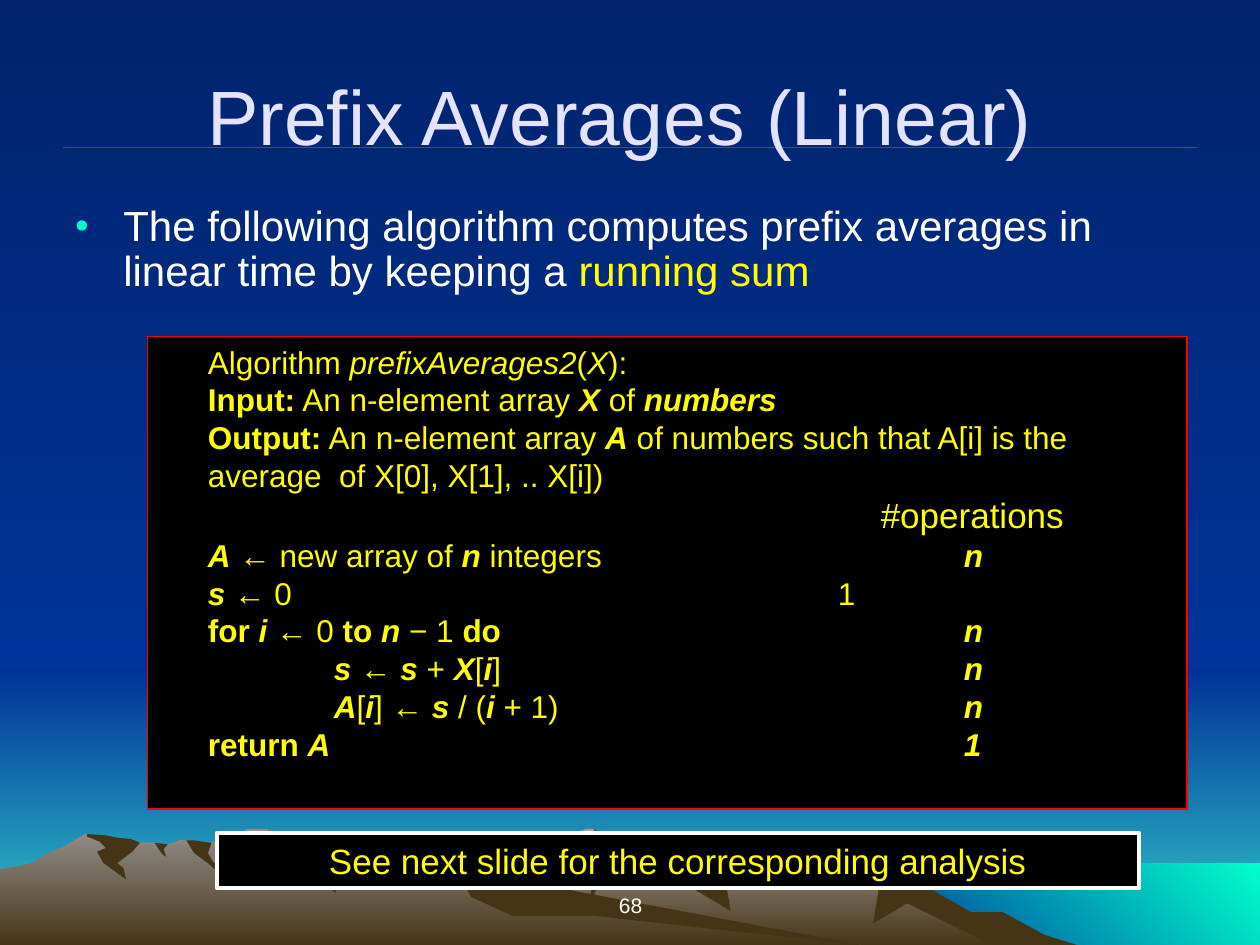
from lxml import etree
from pptx import Presentation
from pptx.dml.color import RGBColor
from pptx.enum.shapes import MSO_CONNECTOR, MSO_SHAPE
from pptx.enum.text import MSO_ANCHOR, PP_ALIGN
from pptx.oxml.ns import qn
from pptx.util import Inches, Pt

RECT = MSO_SHAPE.RECTANGLE
STRAIGHT = MSO_CONNECTOR.STRAIGHT
TOP, BOTTOM = MSO_ANCHOR.TOP, MSO_ANCHOR.BOTTOM
LEFT, CENTER = PP_ALIGN.LEFT, PP_ALIGN.CENTER

COLORS = {
    "navy": "00246D", "blue": "003399", "teal": "33CCCC", "aqua": "00FFCC",
    "stone": "A5A29F", "rock": "938F8B", "earth": "463416", "crimson": "EF0129",
    "lavender": "E3E3FF", "white": "FFFFFF", "yellow": "FFFF00",
    "red": "FF0000", "black": "000000",
}
DOWN, UP_RIGHT = 270, 45
SLIDE_W, SLIDE_H = 10, 7.5
HORIZON = 5.33
RULE_Y, RULE_MARGIN = 1.17, 0.5
HANG = 0.38
PANEL_INSET = 0.1 + HANG
NEST_STOP, HEADING_STOP, CONSTANT_STOP, COUNT_STOP = 1, 5.34, 5, 6

HUNDREDTH = Inches(0.01)
RIGHT_RIDGE = [
    (802, 740), (778, 727), (764, 723), (723, 698), (702, 671), (685, 660),
    (676, 666), (656, 671), (629, 671), (613, 681), (566, 697), (536, 690),
    (529, 676), (526, 673), (509, 669), (497, 671), (486, 673), (474, 661),
    (471, 658), (465, 658), (450, 664), (448, 665), (444, 668), (438, 671),
    (430, 671), (424, 672), (418, 675), (412, 677), (405, 681), (399, 683),
    (394, 685), (355, 698), (327, 709), (277, 739), (258, 751), (821, 751)]
LEFT_RIDGE = [
    (690, 751), (667, 748), (432, 712), (354, 665), (331, 663), (327, 668),
    (323, 668), (318, 664), (296, 676), (279, 681), (271, 682), (260, 676),
    (236, 681), (223, 663), (219, 660), (212, 658), (196, 658), (191, 662),
    (183, 664), (178, 666), (168, 669), (160, 671), (148, 667), (143, 667),
    (132, 671), (128, 671), (123, 669), (111, 669), (94, 671), (68, 662),
    (56, 669), (53, 671), (46, 674), (35, 679), (26, 685), (14, 688),
    (0, 690), (0, 751)]
RIGHT_SHADES = [
    [(796, 724), (771, 724), (734, 703), (707, 671), (685, 660), (689, 664),
     (685, 671), (691, 680), (698, 702), (693, 733), (720, 717), (792, 752),
     (858, 751), (829, 742)],
    [(471, 658), (474, 662), (469, 664), (468, 671), (472, 680), (473, 690),
     (465, 727), (474, 704), (479, 700), (487, 683), (490, 682), (490, 676),
     (497, 671), (493, 670)],
    [(529, 676), (526, 683), (536, 697), (580, 723), (576, 700), (592, 689),
     (570, 692), (542, 685)],
]
LEFT_SHADES = [
    [(212, 663), (208, 669), (219, 678), (232, 690), (241, 688), (267, 709),
     (261, 689), (271, 682), (266, 679), (260, 674), (252, 671), (238, 665),
     (230, 662), (224, 662), (213, 659)],
    [(370, 668), (354, 665), (344, 665), (339, 669), (337, 687), (348, 683),
     (353, 688), (363, 691), (374, 712), (407, 727), (472, 727), (690, 751),
     (683, 750), (455, 707), (427, 692), (411, 684), (401, 681), (386, 675)],
    [(154, 667), (168, 669), (165, 677), (169, 684), (173, 687), (176, 695),
     (165, 685), (154, 677), (148, 667)],
    [(133, 670), (130, 674), (132, 680), (129, 678), (126, 674), (123, 669)],
    [(109, 668), (111, 669), (105, 676), (93, 685), (98, 689), (100, 698),
     (82, 685), (77, 676), (84, 673), (79, 668), (69, 664), (69, 662),
     (84, 663), (94, 665), (104, 666)],
]
MOUNTAINS = [(RIGHT_RIDGE, "stone", RIGHT_SHADES), (LEFT_RIDGE, "rock", LEFT_SHADES)]

BOLD_MARK, ITALIC_MARK = "*", "_"
DECLARATION = [
    "Algorithm _prefixAverages2_(_X_):",
    "*Input:* An n-element array *_X_* of *_numbers_*",
    "*Output:* An n-element array *_A_* of numbers such that A[i] is the "
    "average  of X[0], X[1], .. X[i])",
]
COUNT_HEADING = "#operations"
STEPS = [
    (0, "*_A_* ← new array of *_n_* integers", "*_n_*", COUNT_STOP),
    (0, "*_s_* ← 0", "1", CONSTANT_STOP),
    (0, "*for _i_* ← 0 *to _n_* − 1 *do*", "*_n_*", COUNT_STOP),
    (1, "*_s_* ← *_s_* + *_X_*[*_i_*]", "*_n_*", COUNT_STOP),
    (1, "*_A_*[*_i_*] ← *_s_* / (*_i_* + 1)", "*_n_*", COUNT_STOP),
    (0, "*return _A_*", "*_1_*", COUNT_STOP),
]


def rgb(name):
    return RGBColor.from_string(COLORS[name])


def algorithm_lines():
    for text in DECLARATION:
        yield text, 18, []
    yield "\t" + COUNT_HEADING, 20, [HEADING_STOP]
    for depth, statement, count, count_stop in STEPS:
        yield "\t" * depth + statement + "\t" + count, 18, [NEST_STOP] * depth + [count_stop]


class SlideBuilder:
    font = "Arial"

    def __init__(self, slide):
        self.s = slide

    def paint(self, fill, color, angle=DOWN):
        if isinstance(color, str):
            fill.solid()
            fill.fore_color.rgb = rgb(color)
            return
        fill.gradient()
        fill.gradient_angle = angle
        for stop, name, position in zip(fill.gradient_stops, color, (0, 1)):
            stop.color.rgb = rgb(name)
            stop.position = position

    def finish(self, sp, color, line=None, angle=DOWN):
        sp.shadow.inherit = False
        self.paint(sp.fill, color, angle)
        if line:
            self.stroke(sp, *line)
        else:
            sp.line.fill.background()
        return sp

    def stroke(self, sp, color, width):
        sp.line.color.rgb = rgb(color)
        sp.line.width = Pt(width)

    def rect(self, box, color, line=None, angle=DOWN):
        sp = self.s.shapes.add_shape(RECT, *map(Inches, box))
        return self.finish(sp, color, line, angle)

    def outline(self, points, color):
        builder = self.s.shapes.build_freeform(*points[0], scale=HUNDREDTH)
        builder.add_line_segments(points[1:], close=True)
        self.finish(builder.convert_to_shape(), color)

    def rule(self, ends, color, width):
        cx = self.s.shapes.add_connector(STRAIGHT, *map(Inches, ends))
        self.stroke(cx, color, width)
        etree.SubElement(cx._element.spPr, qn("a:effectLst"))
        cx._element.remove(cx._element.find(qn("p:style")))

    def frame(self, sp, anchor=TOP):
        tf = sp.text_frame
        tf.word_wrap = True
        tf.vertical_anchor = anchor
        return tf

    def textbox(self, box, anchor=TOP):
        return self.frame(self.s.shapes.add_textbox(*map(Inches, box)), anchor)

    def run(self, p, text, size, color, bold=False, italic=False):
        r = p.add_run()
        r.text = text
        fmt = {"name": self.font, "size": Pt(size), "bold": bold, "italic": italic}
        for key, value in fmt.items():
            setattr(r.font, key, value)
        r.font.color.rgb = rgb(color)

    def marked(self, p, text, size, color):
        for i, part in enumerate(text.split(BOLD_MARK)):
            for j, piece in enumerate(part.split(ITALIC_MARK)):
                if piece:
                    self.run(p, piece, size, color, i % 2 == 1, j % 2 == 1)

    def label(self, tf, text, size, color):
        p = tf.paragraphs[0]
        p.alignment = CENTER
        self.run(p, text, size, color)

    def bullet(self, p, color):
        pPr = p._p.get_or_add_pPr()
        pPr.set("marL", str(Inches(HANG)))
        pPr.set("indent", str(-Inches(HANG)))
        clr = etree.SubElement(pPr, qn("a:buClr"))
        etree.SubElement(clr, qn("a:srgbClr"), val=COLORS[color])
        etree.SubElement(pPr, qn("a:buSzPct"), val="90000")
        etree.SubElement(pPr, qn("a:buFont"), typeface=self.font)
        etree.SubElement(pPr, qn("a:buChar"), char="•")

    def tabs(self, p, stops):
        tab_list = etree.SubElement(p._p.get_or_add_pPr(), qn("a:tabLst"))
        for stop in stops:
            etree.SubElement(tab_list, qn("a:tab"), pos=str(Inches(stop)), algn="l")

    def code(self, tf, lines, color):
        tf.margin_left = Inches(PANEL_INSET)
        for i, (text, size, stops) in enumerate(lines):
            p = tf.add_paragraph() if i else tf.paragraphs[0]
            p.alignment = LEFT
            if stops:
                self.tabs(p, stops)
            self.marked(p, text, size, color)


def draw_scenery(s):
    sky = ("navy", "blue")
    s.paint(s.s.background.fill, sky)
    s.rect((0, HORIZON, SLIDE_W, SLIDE_H - HORIZON), ("blue", "teal"))
    s.rect((0, 0, SLIDE_W, HORIZON), sky)
    s.rect((6.83, 6.85, 3.17, 0.67), ("blue", "aqua"), angle=UP_RIGHT)
    for ridge, crest, shades in MOUNTAINS:
        s.outline(ridge, (crest, "earth"))
        for shade in shades:
            s.outline(shade, "earth")
    s.rule((RULE_MARGIN, RULE_Y, SLIDE_W - RULE_MARGIN, RULE_Y), "crimson", 0.75)


def draw_content(s):
    s.label(s.textbox((3.42, 6.83, 3.17, 0.5), BOTTOM), "68", 12, "white")
    s.label(s.textbox((0.67, 0.33, 8.5, 1), BOTTOM), "Prefix Averages (Linear)", 44, "lavender")

    p = s.textbox((0.5, 1.58, 9.08, 1)).paragraphs[0]
    p.line_spacing = 0.9
    s.bullet(p, "aqua")
    s.run(p, "The following algorithm computes prefix averages in linear time by keeping a ",
          24, "white")
    s.run(p, "running sum", 24, "yellow")

    panel = s.rect((1.17, 2.67, 8.25, 3.75), "black", ("red", 0.75))
    s.code(s.frame(panel), algorithm_lines(), "yellow")
    note = s.rect((1.72, 6.61, 7.32, 0.44), "black", ("white", 2.25))
    s.label(s.frame(note), "See next slide for the corresponding analysis", 20, "yellow")


def main():
    prs = Presentation()
    prs.slide_width, prs.slide_height = Inches(SLIDE_W), Inches(SLIDE_H)
    s = SlideBuilder(prs.slides.add_slide(prs.slide_layouts[6]))
    draw_scenery(s)
    draw_content(s)
    prs.save("out.pptx")


if __name__ == "__main__":
    main()
